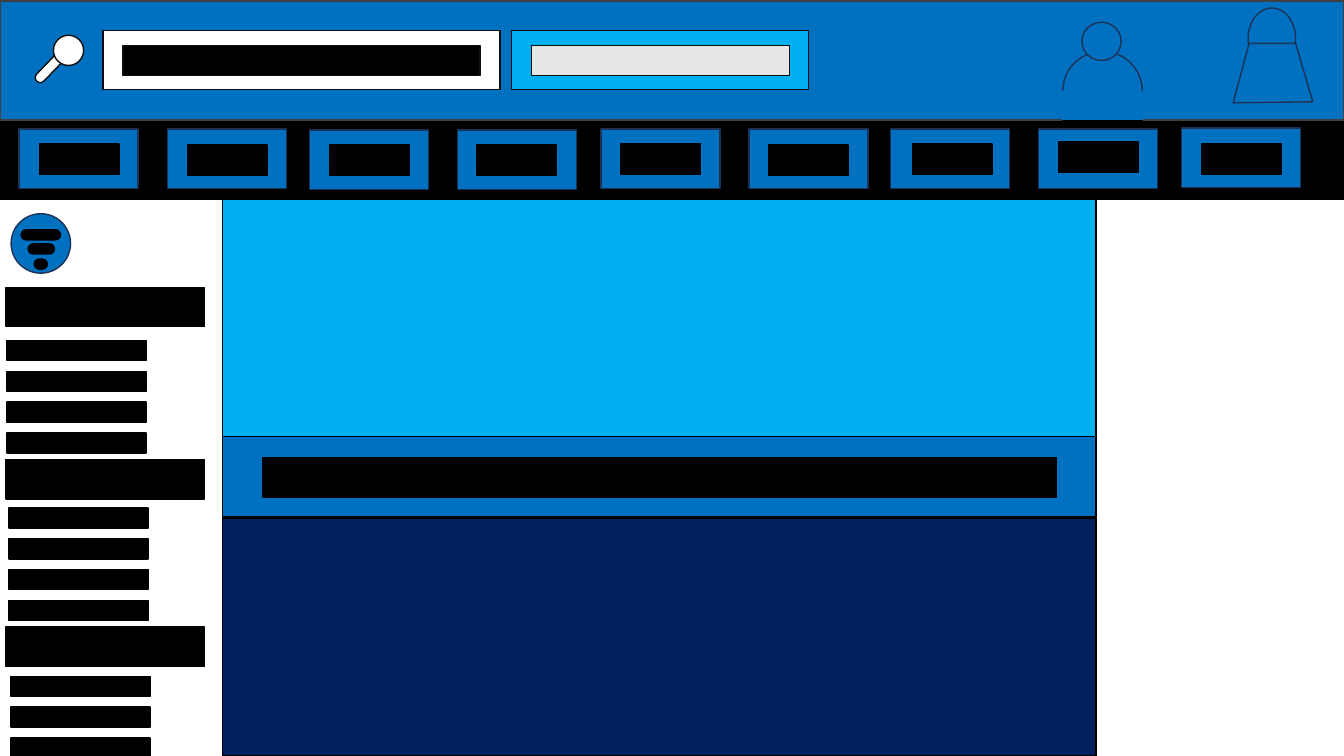
from dataclasses import dataclass
from pptx import Presentation as Deck
from pptx.dml.color import RGBColor as Rgb
from pptx.enum.shapes import MSO_SHAPE as Kind
from pptx.shapes.autoshape import Shape
from pptx.util import Inches, Pt

COLORS = {
    "black": "000000", "white": "FFFFFF", "blue": "0070C0", "sky": "00B0F0",
    "navy": "002060", "grey": "E7E6E6", "ink": "0D0D0D", "edge": "1E3256",
    "frame": "404040",
}


@dataclass
class Box:
    left: float
    top: float
    width: float
    height: float
    fill: str = "black"
    line: str = "black"
    kind: Kind = Kind.RECTANGLE
    turn: float = 0


@dataclass
class Tab:
    left: float
    top: float
    label_left: float
    label_top: float


@dataclass
class Group:
    title_top: float
    left: float
    top: float
    count: int


deck = Deck()
deck.slide_width, deck.slide_height = Inches(13.33), Inches(7.5)
slide = deck.slides.add_slide(deck.slide_layouts[6])


def paint(shape: Shape, fill: str, line: str) -> None:
    shape.shadow.inherit = False
    shape.fill.solid()
    shape.fill.fore_color.rgb = Rgb.from_string(COLORS[fill])
    shape.line.color.rgb = Rgb.from_string(COLORS[line])
    shape.line.width = Pt(1)


def draw(box: Box) -> None:
    shape = slide.shapes.add_shape(
        box.kind, Inches(box.left), Inches(box.top), Inches(box.width), Inches(box.height))
    if box.kind == Kind.ROUNDED_RECTANGLE:
        shape.adjustments[0] = 0.5
    shape.rotation = box.turn
    paint(shape, box.fill, box.line)


def draw_all(boxes: list[Box]) -> None:
    for box in boxes:
        draw(box)


def outline(points: list[tuple[float, float]], fill: str, line: str) -> None:
    first, *rest = [(Inches(x), Inches(y)) for x, y in points]
    pen = slide.shapes.build_freeform(*first, scale=1.0)
    pen.add_line_segments(rest, close=True)
    paint(pen.convert_to_shape(), fill, line)


header = [
    Box(0, 1.19, 13.33, 0.79),
    Box(0, 0.01, 13.33, 1.18, "blue", "frame"),
]
search = [
    Box(0.29, 0.58, 0.49, 0.1, "white", "ink", Kind.ROUNDED_RECTANGLE, 314.1),
    Box(0.53, 0.35, 0.3, 0.3, "white", "ink", Kind.OVAL),
    Box(1.02, 0.3, 3.94, 0.59, "white", "ink"),
    Box(1.22, 0.45, 3.54, 0.3, "black", "ink"),
    Box(5.07, 0.3, 2.95, 0.59, "sky", "ink"),
    Box(5.27, 0.45, 2.56, 0.3, "grey", "ink"),
]
user = [
    Box(10.54, 0.51, 0.79, 0.79, "blue", "edge", Kind.OVAL),
    Box(10.73, 0.22, 0.39, 0.38, "blue", "edge", Kind.OVAL),
    Box(10.54, 0.91, 0.79, 0.28, "blue", "blue"),
    Box(10.54, 1.2, 0.79, 0.55),
]
handle = Box(12.38, 0.08, 0.47, 0.6, "blue", "edge", Kind.OVAL)
bag = [(12.39, 0.43), (12.85, 0.43), (13.02, 1.01), (12.23, 1.02)]
tabs = [
    Tab(0.19, 1.28, 0.39, 1.43),
    Tab(1.66, 1.28, 1.86, 1.44),
    Tab(3.07, 1.29, 3.27, 1.44),
    Tab(4.54, 1.29, 4.73, 1.44),
    Tab(5.96, 1.28, 6.16, 1.43),
    Tab(7.43, 1.28, 7.62, 1.44),
    Tab(8.83, 1.28, 9.05, 1.43),
    Tab(10.3, 1.28, 10.5, 1.41),
    Tab(11.72, 1.27, 11.92, 1.43),
]
panels = [
    Box(2.21, 1.98, 8.66, 2.36, "sky"),
    Box(2.21, 5.14, 8.66, 2.36, "navy"),
    Box(2.21, 4.33, 8.66, 0.8, "blue"),
    Box(2.61, 4.54, 7.87, 0.39),
]
badge = Box(0.11, 2.12, 0.59, 0.59, "blue", "edge", Kind.OVAL)
bars = [(0.21, 2.28, 0.39), (0.28, 2.42, 0.26), (0.34, 2.57, 0.13)]
groups = [
    Group(2.85, 0.07, 3.38, 4),
    Group(4.56, 0.09, 5.04, 4),
    Group(6.22, 0.11, 6.71, 3),
]
STEP = 0.305

draw_all(header + search + user + [handle])
outline(bag, "blue", "edge")

for tab in tabs:
    draw(Box(tab.left, tab.top, 1.18, 0.59, "blue", "edge"))
    draw(Box(tab.label_left, tab.label_top, 0.79, 0.3))

draw_all(panels + [badge])
for left, top, width in bars:
    draw(Box(left, top, width, 0.1, kind=Kind.ROUNDED_RECTANGLE))

for group in groups:
    draw(Box(0.06, group.title_top, 1.97, 0.39))
    for row in range(group.count):
        draw(Box(group.left, group.top + row * STEP, 1.38, 0.2))

deck.save("out.pptx")
